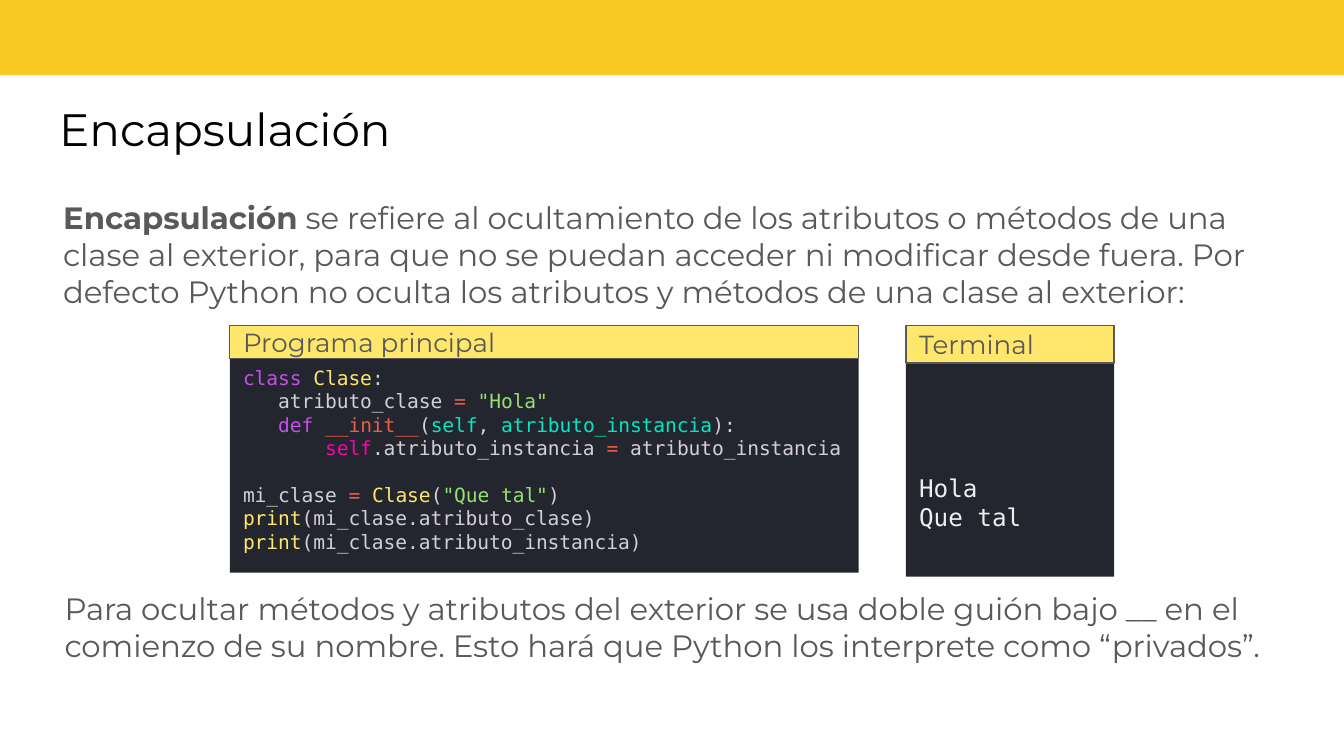
from pptx import Presentation
from pptx import util as u
from pptx.dml.color import RGBColor
from pptx.enum import shapes, text

BLACK = RGBColor(0x00, 0x00, 0x00)
GRAY = RGBColor(0x59, 0x59, 0x59)
GOLD = RGBColor(0xF8, 0xC8, 0x23)
DARK = RGBColor(0x23, 0x26, 0x2E)
YELLOW = RGBColor(0xFF, 0xE6, 0x6D)
LIGHT = RGBColor(0xD5, 0xCE, 0xD9)
OUTPUT = RGBColor(0xEE, 0xEE, 0xEE)
PURPLE = RGBColor(0xC7, 0x4D, 0xED)
RED = RGBColor(0xEE, 0x5D, 0x43)
GREEN = RGBColor(0x96, 0xE0, 0x72)
CYAN = RGBColor(0x00, 0xE8, 0xC6)
PINK = RGBColor(0xFF, 0x00, 0xAA)

SANS = "Montserrat"
MONO = "DejaVu Sans Mono"
CODE_SIZE = 10.5
CODE_CHAR = 6.28  # width of one code character, in points


def add_panel(left, top, width, height, fill, line=None):
    panel = page.shapes.add_shape(
        shapes.MSO_SHAPE.RECTANGLE,
        u.Inches(left), u.Inches(top), u.Inches(width), u.Inches(height))
    panel.shadow.inherit = False
    panel.fill.solid()
    panel.fill.fore_color.rgb = fill
    if line is None:
        panel.line.fill.background()
    else:
        panel.line.color.rgb = line
        panel.line.width = u.Pt(0.75)
    panel.text_frame.vertical_anchor = text.MSO_ANCHOR.TOP
    return panel


def write(para, words, size=16.5, font=SANS, color=GRAY, bold=False):
    """Append one formatted run to a left-aligned paragraph."""
    para.alignment = text.PP_ALIGN.LEFT
    span = para.add_run()
    span.text = words
    span.font.size = u.Pt(size)
    span.font.name = font
    span.font.color.rgb = color
    span.font.bold = bold


deck = Presentation()
deck.slide_width = u.Inches(10)
deck.slide_height = deck.slide_width * 9 // 16
page = deck.slides.add_slide(deck.slide_layouts[5])

add_panel(-0.01, -0.05, 10.03, 0.61, GOLD)

# Title
title = page.shapes.title
title.left, title.top = u.Inches(0.34), u.Inches(0.65)
title.width, title.height = u.Inches(9.3), u.Inches(0.63)
frame = title.text_frame
frame.margin_left = frame.margin_right = u.Inches(0.1)
frame.margin_top = frame.margin_bottom = u.Inches(0.1)
frame.vertical_anchor = text.MSO_ANCHOR.TOP
frame.auto_size = text.MSO_AUTO_SIZE.NONE
write(frame.paragraphs[0], "Encapsulación", size=24.3, color=BLACK)

# Explanations above and below the code
explanations = [
    (0.47, 1.38, 3.64, [
        ("Encapsulación", True),
        (" se refiere al ocultamiento de los atributos o métodos de una clase "
         "al exterior, para que no se puedan acceder ni modificar desde fuera. "
         "Por defecto Python no oculta los atributos y métodos de una clase al "
         "exterior:", False)]),
    (0.48, 4.29, 0.79, [
        ("Para ocultar métodos y atributos del exterior se usa doble guión bajo "
         "__ en el comienzo de su nombre. Esto hará que Python los interprete "
         "como “privados”.", False)]),
]
for left, top, height, spans in explanations:
    box = page.shapes.add_textbox(
        u.Inches(left), u.Inches(top), u.Inches(9.05), u.Inches(height))
    frame = box.text_frame
    frame.word_wrap = True
    frame.margin_left = frame.margin_right = 0
    frame.margin_top = frame.margin_bottom = u.Inches(0.1)
    for words, bold in spans:
        write(frame.paragraphs[0], words, bold=bold)

# Code and terminal panels with their headers
code = add_panel(1.71, 2.67, 4.68, 1.59, DARK)
terminal = add_panel(6.74, 2.7, 1.55, 1.59, DARK)
for panel, label in ((code, "Programa principal"), (terminal, "Terminal")):
    top = 2.42
    header = add_panel(panel.left.inches, top, panel.width.inches,
                       panel.top.inches - top, YELLOW, line=GRAY)
    header.text_frame.vertical_anchor = text.MSO_ANCHOR.MIDDLE
    write(header.text_frame.paragraphs[0], label, size=14)

# Each code line: indent in characters, space before in points, coloured spans
code_lines = [
    (0, 0, [("class ", PURPLE), ("Clase", YELLOW), (":", LIGHT)]),
    (3, 0, [("atributo_clase ", LIGHT), ("= ", RED), ('"Hola"', GREEN)]),
    (3, 0, [("def ", PURPLE), ("__init__", RED), ("(", LIGHT), ("self", CYAN),
            (", ", LIGHT), ("atributo_instancia", CYAN), ("):", LIGHT)]),
    (7, 0, [("self", PINK), (".atributo_instancia ", LIGHT), ("=", RED),
            (" atributo_instancia", LIGHT)]),
    (0, 12.5, [("mi_clase ", LIGHT), ("= ", RED), ("Clase", YELLOW),
               ("(", LIGHT), ('"Que tal"', GREEN), (")", LIGHT)]),
    (0, 0, [("print", YELLOW), ("(mi_clase.atributo_clase)", LIGHT)]),
    (0, 0, [("print", YELLOW), ("(mi_clase.atributo_instancia)", LIGHT)]),
]
frame = code.text_frame
for number, (indent, gap, spans) in enumerate(code_lines):
    para = frame.add_paragraph() if number else frame.paragraphs[0]
    para.space_before = u.Pt(gap)
    para._p.get_or_add_pPr().set("marL", str(u.Pt(indent * CODE_CHAR)))
    for words, color in spans:
        write(para, words, size=CODE_SIZE, font=MONO, color=color)

frame = terminal.text_frame
frame.margin_top = u.Inches(0.82)
for number, words in enumerate(("Hola", "Que tal")):
    para = frame.add_paragraph() if number else frame.paragraphs[0]
    write(para, words, size=13, font=MONO, color=OUTPUT)

deck.save("out.pptx")
